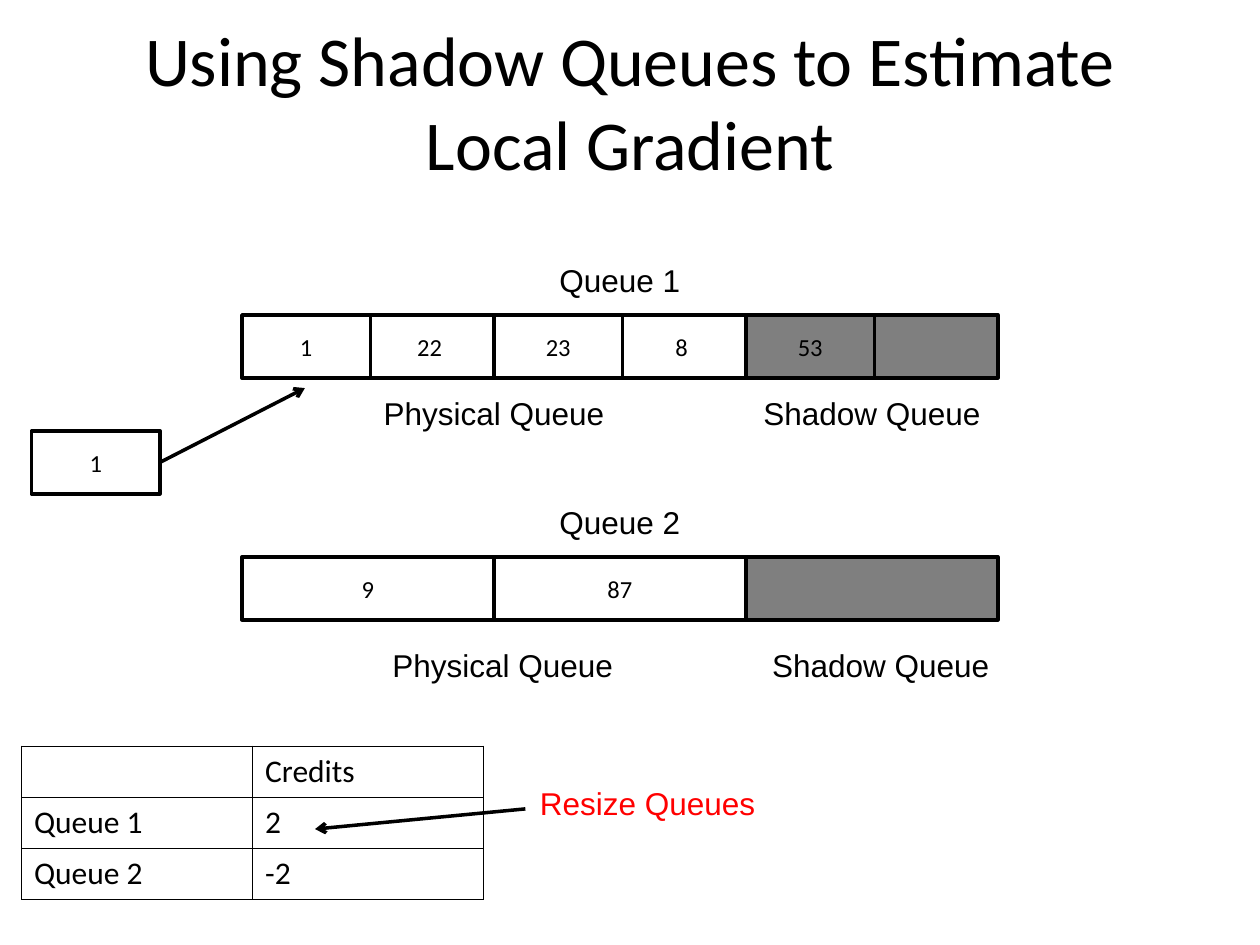
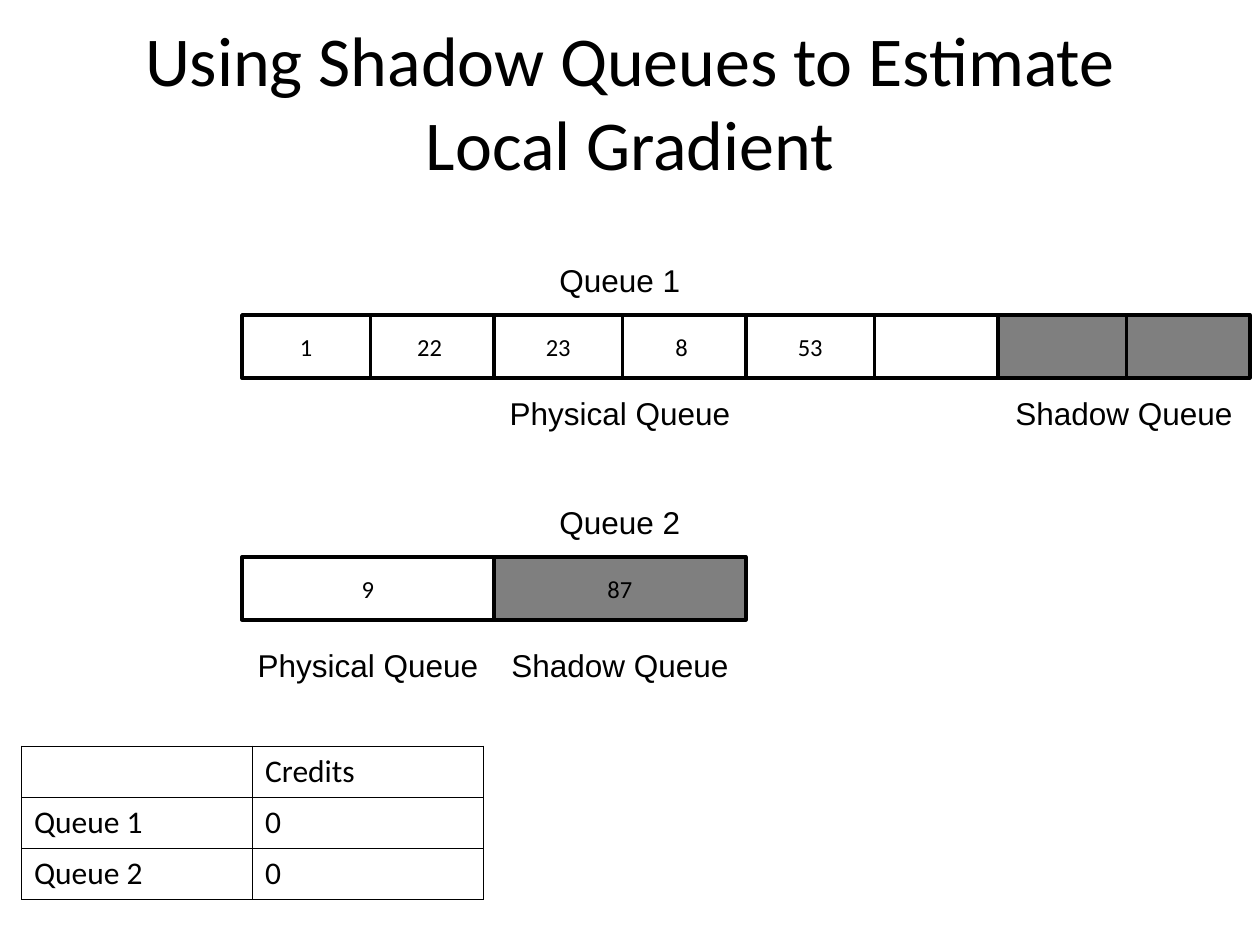
from lxml import etree
from pptx import Presentation
from pptx.dml.color import RGBColor
from pptx.enum.shapes import MSO_CONNECTOR, MSO_SHAPE
from pptx.enum.text import MSO_ANCHOR, MSO_AUTO_SIZE, PP_ALIGN
from pptx.oxml.ns import qn
from pptx.util import Inches, Pt

RECT = MSO_SHAPE.RECTANGLE
LINE = MSO_CONNECTOR.STRAIGHT
MIDDLE = MSO_ANCHOR.MIDDLE
TOP = MSO_ANCHOR.TOP
FIT = MSO_AUTO_SIZE.SHAPE_TO_FIT_TEXT
LEFT, CENTER = PP_ALIGN.LEFT, PP_ALIGN.CENTER

BLACK, WHITE, GREY, RED = "000000", "FFFFFF", "7F7F7F", "FF0000"
TITLE = {"name": "Calibri", "size": Pt(40)}
ITEM = {"name": "Calibri", "size": Pt(14)}
ENTRY = {"name": "Calibri", "size": Pt(18)}
LABEL = {"name": "Arial", "size": Pt(18)}
PAIR, STEP, CELL, HIGH = 2, 0.98, 1.02, 0.5
LEAD = 1.92


def color(code):
    """Turn a hex string into a colour."""
    return RGBColor.from_string(code)


def assign(target, values):
    """Set attributes from a dict of values."""
    for key, value in values.items():
        setattr(target, key, value)


def write(frame, text, font, ink=BLACK, align=CENTER):
    """Put one formatted paragraph in a text frame."""
    para = frame.paragraphs[0]
    para.text = text
    para.alignment = align
    assign(para.font, font)
    para.font.color.rgb = color(ink)


def title(slide, text):
    """Add the centred slide title."""
    frame = slide.shapes.add_textbox(*map(Inches, (0.5, 0.17, 9, 1.25))).text_frame
    assign(frame, {"word_wrap": True, "vertical_anchor": MIDDLE})
    write(frame, text, TITLE)


def label(slide, mid, top, width, text, ink=BLACK):
    """Add a one-line label centred on a given place."""
    box = map(Inches, (mid - width / 2, top, width, 0.4))
    frame = slide.shapes.add_textbox(*box).text_frame
    assign(frame, {"word_wrap": False, "auto_size": FIT, "vertical_anchor": TOP})
    write(frame, text, LABEL, ink)


def block(slide, left, top, width, text, fill=WHITE):
    """Add one outlined queue entry."""
    shape = slide.shapes.add_shape(RECT, *map(Inches, (left, top, width, HIGH)))
    shape.shadow.inherit = False
    shape.fill.solid()
    shape.fill.fore_color.rgb = color(fill)
    shape.line.color.rgb = color(BLACK)
    shape.line.width = Pt(2)
    if text:
        shape.text_frame.vertical_anchor = MIDDLE
        write(shape.text_frame, text, ITEM)


def queue(slide, left, top, name, items, split, per, drop, shift=0):
    """Draw a queue whose entries from split onward are shadow entries."""
    width = CELL if per > 1 else PAIR
    for i, item in reversed(list(enumerate(items))):
        pair, side = divmod(i, per)
        fill = WHITE if i < split else GREY
        block(slide, left + PAIR * pair + STEP * side, top, width, item, fill)
    edge = PAIR * split / per
    end = PAIR * len(items) / per
    label(slide, left + 3, top - 0.48, 1.16, name)
    label(slide, left + edge / 2 + shift, top + drop, 1.95, "Physical Queue")
    label(slide, left + (edge + end) / 2 + shift, top + drop, 1.92, "Shadow Queue")


def border(cell):
    """Give a table cell thin black edges."""
    props = cell._tc.get_or_add_tcPr()
    for side in ("lnL", "lnR", "lnT", "lnB"):
        edge = etree.SubElement(props, qn(f"a:{side}"), w=str(Pt(0.45)))
        fill = etree.SubElement(edge, qn("a:solidFill"))
        etree.SubElement(fill, qn("a:srgbClr"), val=BLACK)


def ledger(slide, left, top, width, height, credits):
    """Add the table of credits for each queue."""
    rows = [("", "Credits")]
    rows += [(f"Queue {n}", value) for n, value in enumerate(credits, 1)]
    box = map(Inches, (left, top, width, height))
    table = slide.shapes.add_table(len(rows), 2, *box).table
    assign(table, {"first_row": False, "horz_banding": False})
    for r, row in enumerate(rows):
        for c, text in enumerate(row):
            cell = table.cell(r, c)
            border(cell)
            cell.fill.background()
            write(cell.text_frame, text, ENTRY, align=LEFT)


def arrow(slide, start, end):
    """Draw an open-headed arrow between two points."""
    link = slide.shapes.add_connector(LINE, *map(Inches, start + end))
    link.line.color.rgb = color(BLACK)
    link.line.width = Pt(2)
    etree.SubElement(link.line._get_or_add_ln(), qn("a:tailEnd"), type="arrow")
    etree.SubElement(link._element.spPr, qn("a:effectLst"))


def page(deck, first, second, splits, credits, shift=0):
    """Build a slide with two queues and their credits."""
    slide = deck.slides.add_slide(deck.slide_layouts[6])
    title(slide, "Using Shadow Queues to Estimate Local Gradient")
    queue(slide, LEAD, 2.5, "Queue 1", first, splits[0], 2, 0.58)
    queue(slide, LEAD, 4.42, "Queue 2", second, splits[1], 1, 0.66, shift)
    ledger(slide, 0.17, 5.92, 3.67, 1.22, credits)
    return slide


def request(slide, left, top, text):
    """Show an incoming request pointing at the first entry."""
    block(slide, left, top, CELL, text)
    arrow(slide, (left + CELL, top + HIGH / 2), (left + 2.17, top - 0.34))


def resize(slide, left, top):
    """Mark the credits that trigger a resize."""
    label(slide, left + 0.96, top, 1.91, "Resize Queues", RED)
    arrow(slide, (left - 0.01, top + 0.25), (left - 1.68, top + 0.41))


def main():
    """Build and save the deck."""
    deck = Presentation()
    assign(deck, {"slide_width": Inches(10), "slide_height": Inches(7.5)})
    items = ["1", "22", "23", "8", "53", ""]
    before = page(deck, items, ["9", "87", ""], (4, 2), ("2", "-2"), 0.07)
    request(before, 0.25, 3.42, "1")
    resize(before, 4.18, 6.17)
    page(deck, items + ["", ""], ["9", "87"], (6, 1), ("0", "0"))
    deck.save("out.pptx")


if __name__ == "__main__":
    main()
